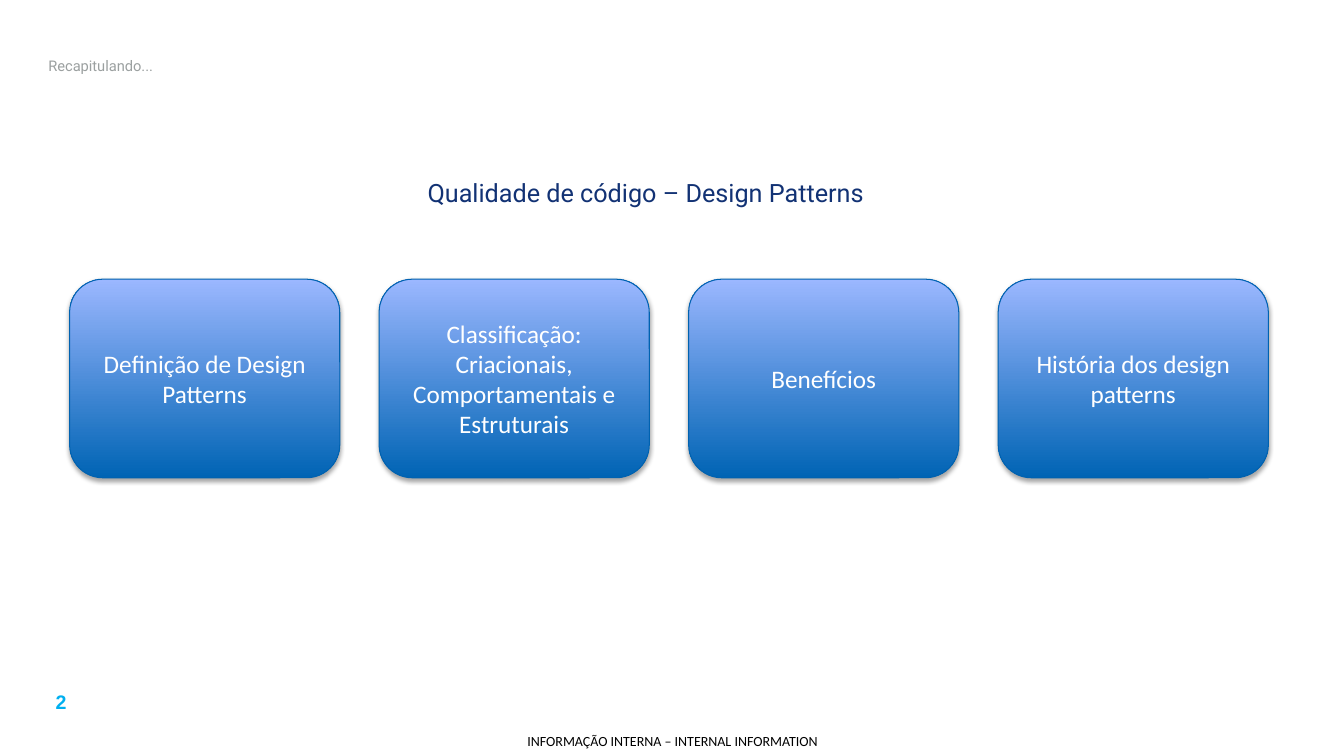
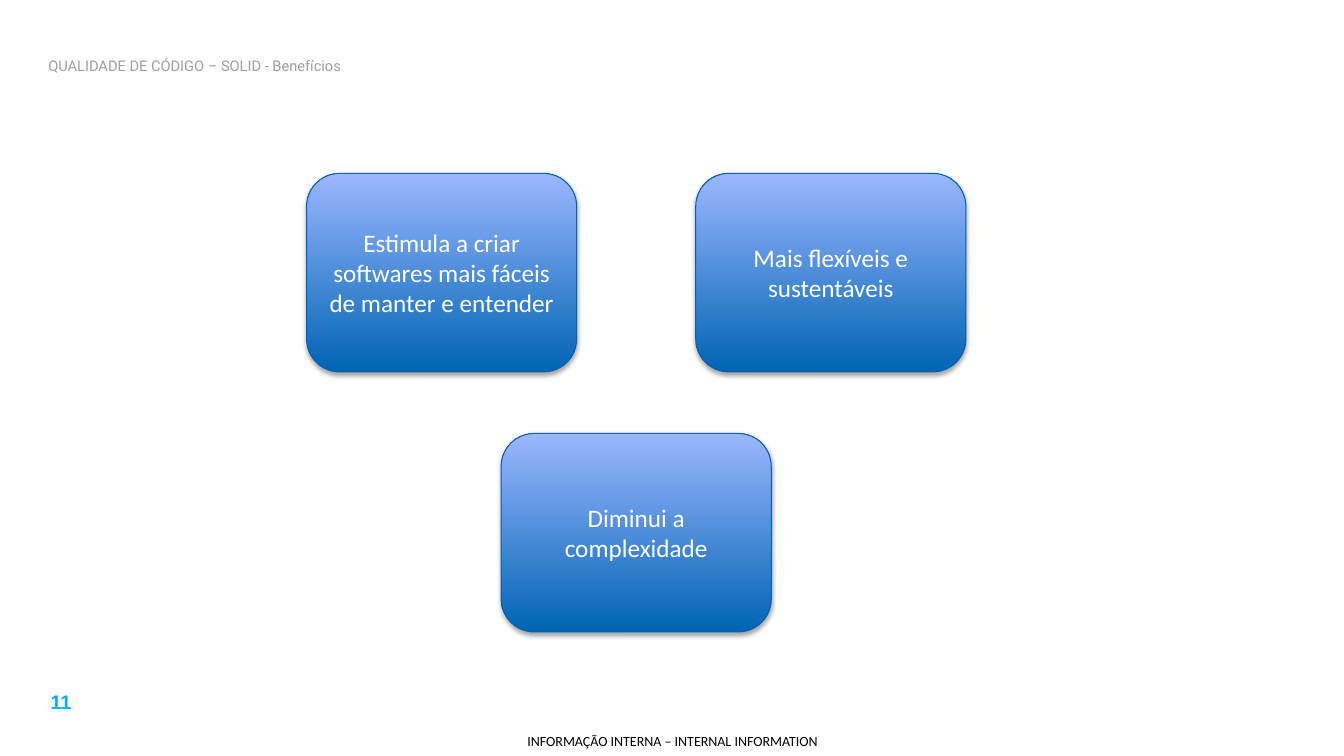
from dataclasses import dataclass

from lxml.etree import SubElement
from pptx import Presentation
from pptx.dml.color import RGBColor
from pptx.enum.shapes import MSO_SHAPE
from pptx.enum.text import MSO_ANCHOR, MSO_AUTO_SIZE, PP_ALIGN
from pptx.oxml.ns import qn
from pptx.util import Pt

PX = 9144
CONTENT_LAYOUT, TITLE_LAYOUT = 1, 5
CARD_WIDTH, CARD_HEIGHT = 268, 197


@dataclass(frozen=True)
class Style:
    font: str
    size: float
    color: str
    bold: bool = False


@dataclass(frozen=True)
class Theme:
    title: Style = Style("Roboto", 10.5, "9BA0A0")
    heading: Style = Style("Roboto", 18, "123274")
    card: Style = Style("Calibri", 18, "FFFFFF")
    number: Style = Style("Arial", 14, "00B0F0", True)
    notice: Style = Style("Calibri", 10, "000000")
    card_bottom: str = "0064B4"
    card_top: str = "9BB7FF"
    card_line: str = "0062B0"
    shadow: str = "000000"


THEME = Theme()


def place(shape, box):
    shape.left, shape.top, shape.width, shape.height = (side * PX for side in box)


def write(shape, text, style, align=PP_ALIGN.CENTER, anchor=MSO_ANCHOR.MIDDLE):
    frame = shape.text_frame
    frame.text = text
    frame.word_wrap = True
    frame.auto_size = MSO_AUTO_SIZE.NONE
    frame.vertical_anchor = anchor
    for para in frame.paragraphs:
        para.alignment = align
        para.font.name = style.font
        para.font.size = Pt(style.size)
        para.font.bold = style.bold
        para.font.color.rgb = RGBColor.from_string(style.color)


def add_footer(page, number):
    number_box = page.shapes.add_textbox(*(side * PX for side in (21, 680, 79, 34)))
    write(number_box, number, THEME.number, anchor=MSO_ANCHOR.TOP)
    notice = page.shapes.add_textbox(*(side * PX for side in (503, 721, 328, 29)))
    write(notice, "INFORMAÇÃO INTERNA – INTERNAL INFORMATION", THEME.notice)
    frame = notice.text_frame
    frame.margin_left = frame.margin_top = frame.margin_right = frame.margin_bottom = 0


def add_page(deck, layout, title, number):
    page = deck.slides.add_slide(deck.slide_layouts[layout])
    place(page.shapes.title, (38, 41, 1188, 48))
    write(page.shapes.title, title, THEME.title, PP_ALIGN.LEFT)
    add_footer(page, number)
    return page


def add_heading(page, box, text):
    heading = page.placeholders[1]
    place(heading, box)
    write(heading, text, THEME.heading)
    properties = heading.text_frame.paragraphs[0]._p.get_or_add_pPr()
    properties.set("marL", str(38 * PX))
    properties.set("indent", str(-38 * PX))
    properties.insert(0, properties.makeelement(qn("a:buNone"), {}))


def add_shadow(shape):
    shape.shadow.inherit = False
    effects = shape._element.spPr.find(qn("a:effectLst"))
    outer = SubElement(effects, qn("a:outerShdw"), blurRad="40000", dist="23000",
                       dir="5400000", rotWithShape="0")
    color = SubElement(outer, qn("a:srgbClr"), val=THEME.shadow)
    SubElement(color, qn("a:alpha"), val="35000")


def add_card(page, left, top, text):
    box = (left, top, CARD_WIDTH, CARD_HEIGHT)
    card = page.shapes.add_shape(MSO_SHAPE.ROUNDED_RECTANGLE, *(side * PX for side in box))
    card.fill.gradient()
    card.fill.gradient_angle = 90
    for stop, color in zip(card.fill.gradient_stops, (THEME.card_bottom, THEME.card_top)):
        stop.color.rgb = RGBColor.from_string(color)
    card.line.color.rgb = RGBColor.from_string(THEME.card_line)
    card.line.width = Pt(0.75)
    add_shadow(card)
    write(card, text, THEME.card)


def add_card_row(page, left, top, gap, texts):
    for index, text in enumerate(texts):
        add_card(page, left + index * (CARD_WIDTH + gap), top, text)


def add_card_triangle(page, left, top, gap, row_gap, upper, lower):
    add_card_row(page, left, top, gap, upper)
    add_card(page, left + (CARD_WIDTH + gap) // 2, top + CARD_HEIGHT + row_gap, lower)


def build_recap(deck):
    page = add_page(deck, CONTENT_LAYOUT, "Recapitulando...", "2")
    add_heading(page, (37, 156, 1207, 69), "Qualidade de código – Design Patterns")
    add_card_row(page, 69, 277, 39, (
        "Definição de Design Patterns",
        "Classificação:\nCriacionais, Comportamentais e Estruturais",
        "Benefícios",
        "História dos design patterns",
    ))


def build_benefits(deck):
    page = add_page(deck, TITLE_LAYOUT, "QUALIDADE DE CÓDIGO – SOLID - Benefícios", "11")
    add_card_triangle(page, 304, 172, 118, 61, (
        "Estimula a criar softwares mais fáceis de manter e entender",
        "Mais flexíveis e sustentáveis",
    ), "Diminui a complexidade")


def main():
    deck = Presentation()
    deck.slide_width, deck.slide_height = 1333 * PX, 750 * PX
    build_recap(deck)
    build_benefits(deck)
    deck.save("out.pptx")


if __name__ == "__main__":
    main()
